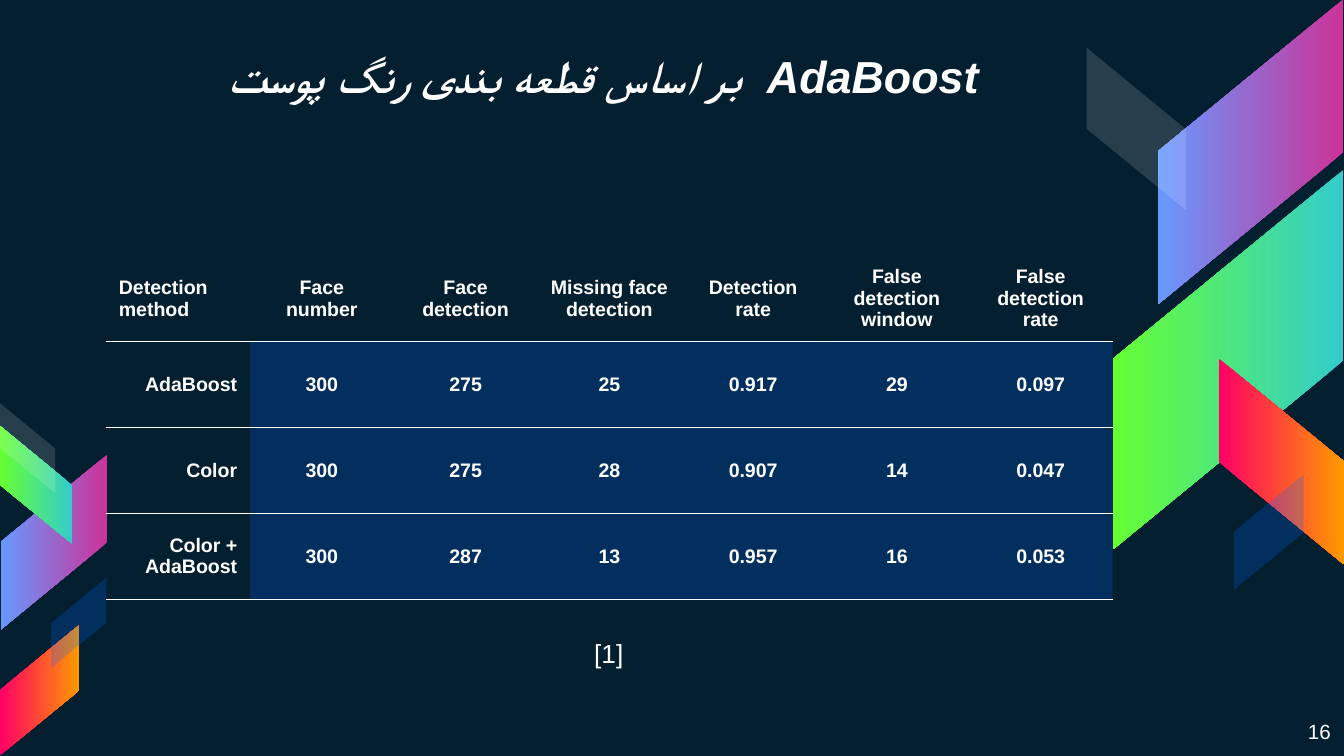
import pptx
import pptx.util
import pptx.dml.color
import pptx.enum.shapes
import pptx.enum.text
import pptx.oxml.ns
import lxml.etree

COLORS = {
    "night": "041F30", "white": "FFFFFF", "blue": "0066FF",
    "magenta": "CC3399", "sky": "6699FF", "teal": "33CCCC",
    "lime": "66FF33", "rose": "FF0066", "orange": "FF9900",
}
CELL = 0.1
COLUMNS, ROWS = 100, 56.25
NO_STYLE = "{2D5ABB26-0587-4C30-8999-92F81FD0307C}"
ALIGN = pptx.enum.text.PP_ALIGN
ANCHOR = pptx.enum.text.MSO_ANCHOR
qn = pptx.oxml.ns.qn


def grid(cells):
    return pptx.util.Inches(cells * CELL)


def rgb(name):
    return pptx.dml.color.RGBColor.from_string(COLORS[name])


def set_opacity(element, percent):
    color = next(element.iter(qn("a:srgbClr")))
    lxml.etree.SubElement(color, qn("a:alpha")).set("val", str(percent * 1000))


def write_text(frame, *spans, size, bold=False, italic=False, align=ALIGN.LEFT,
               fonts=("Arial",)):
    frame.word_wrap = True
    para = frame.paragraphs[0]
    para.alignment = align
    for text, font in zip(spans, fonts):
        span = para.add_run()
        span.text = text
        span.font.size = pptx.util.Pt(size)
        span.font.bold = bold
        span.font.italic = italic
        span.font.color.rgb = rgb("white")
        span.font.name = font
        script = lxml.etree.SubElement(span.font._element, qn("a:cs"))
        script.set("typeface", "Arial")
    return para


class SlideBuilder:
    def __init__(self, deck):
        self.page = deck.slides.add_slide(deck.slide_layouts[5])
        self.page.background.fill.solid()
        self.page.background.fill.fore_color.rgb = rgb("night")

    def ribbon(self, area, turn, flip, colors, opacity=None):
        kind = pptx.enum.shapes.MSO_SHAPE.PARALLELOGRAM
        shape = self.page.shapes.add_shape(kind, *map(grid, area))
        shape.shadow.inherit = False
        shape.adjustments[0] = 0.82
        shape.rotation = turn
        if flip:
            shape._element.spPr.xfrm.set("flipH", "1")
        shape.line.fill.background()
        if len(colors) == 2:
            shape.fill.gradient()
            shape.fill.gradient_angle = 270
            for stop, color in zip(shape.fill.gradient_stops, colors):
                stop.color.rgb = rgb(color)
        else:
            shape.fill.solid()
            shape.fill.fore_color.rgb = rgb(colors[0])
            set_opacity(shape._element.spPr, opacity)

    def title(self, area, *spans, **style):
        box = self.page.shapes.title
        box.left, box.top, box.width, box.height = map(grid, area)
        frame = box.text_frame
        frame.auto_size = pptx.enum.text.MSO_AUTO_SIZE.NONE
        frame.vertical_anchor = ANCHOR.TOP
        frame.margin_left = frame.margin_right = grid(1)
        frame.margin_top = frame.margin_bottom = grid(1)
        para = write_text(frame, *spans, **style)
        para.space_before = pptx.util.Pt(6)
        properties = para._p.get_or_add_pPr()
        properties.set("rtl", "1")
        properties.set("marL", str(grid(0.8)))
        properties.set("indent", "0")

    def label(self, area, text, anchor=ANCHOR.TOP, margin=0.5, **style):
        box = self.page.shapes.add_textbox(*map(grid, area))
        frame = box.text_frame
        frame.vertical_anchor = anchor
        frame.margin_top = frame.margin_bottom = grid(margin)
        write_text(frame, text, **style)

    def rule(self, cell, side, position):
        line = lxml.etree.Element(qn("a:" + side))
        line.set("w", str(pptx.util.Pt(0.75)))
        fill = lxml.etree.SubElement(line, qn("a:solidFill"))
        lxml.etree.SubElement(fill, qn("a:srgbClr")).set("val", COLORS["white"])
        cell._tc.get_or_add_tcPr().insert(position, line)

    def table(self, area, records):
        shape = self.page.shapes.add_table(
            len(records), len(records[0]), *map(grid, area))
        table = shape.table
        table._tbl.tblPr.find(qn("a:tableStyleId")).text = NO_STYLE
        for row, record in enumerate(records):
            for column, text in enumerate(record):
                cell = table.cell(row, column)
                cell.vertical_anchor = ANCHOR.MIDDLE
                cell.margin_left = cell.margin_right = grid(0.95)
                cell.margin_top = cell.margin_bottom = grid(0.7)
                align = ALIGN.CENTER
                if column == 0:
                    align = ALIGN.RIGHT if row else ALIGN.LEFT
                write_text(cell.text_frame, text, size=10.5, bold=True, align=align)
                if row and column:
                    cell.fill.solid()
                    cell.fill.fore_color.rgb = rgb("blue")
                    set_opacity(cell._tc.tcPr, 23)
                else:
                    cell.fill.background()
                if row:
                    self.rule(cell, "lnT", 0)
                self.rule(cell, "lnB", 1 if row else 0)


def main():
    deck = pptx.Presentation()
    deck.slide_width, deck.slide_height = grid(COLUMNS), grid(ROWS)
    slide = SlideBuilder(deck)

    violet, green = ("magenta", "sky"), ("teal", "lime")
    fire = ("rose", "orange")
    ribbons = [
        ((81.7, 4.4, 22.7, 13.8), 90, True, violet),
        ((77.3, 18.2, 28.2, 17.1), 90, True, green),
        ((87.7, 29.7, 15.3, 9.3), 270, False, fire),
        ((78.5, 5.9, 12.1, 7.4), 270, False, ("white",), 14),
        ((90.1, 37, 8.6, 5.2), 270, True, ("blue",), 23),
        ((-2.5, 36.4, 13, 7.9), 90, True, violet),
        ((-1.7, 33.4, 8.8, 5.4), 90, False, green),
        ((-1.9, 48.4, 9.7, 5.9), 270, True, fire),
        ((-1.3, 31.3, 6.7, 4.1), 270, False, ("white",), 14),
        ((2.5, 44.3, 6.7, 4.1), 270, True, ("blue",), 23),
    ]
    for ribbon in ribbons:
        slide.ribbon(*ribbon)

    slide.table((7.9, 19, 74.9, 25.6), [
        ("Detection method", "Face number", "Face detection",
         "Missing face detection", "Detection rate",
         "False detection window", "False detection rate"),
        ("AdaBoost", "300", "275", "25", "0.917", "29", "0.097"),
        ("Color", "300", "275", "28", "0.907", "14", "0.047"),
        ("Color + AdaBoost", "300", "287", "13", "0.957", "16", "0.053"),
    ])
    slide.label((93.6, 52.6, 6.4, 3.6), "16", margin=1, size=11, align=ALIGN.RIGHT)
    slide.label((37, 44.9, 16.6, 7.4), "[1]", anchor=ANCHOR.MIDDLE,
                size=14, align=ALIGN.CENTER)
    slide.title((13.6, 2.6, 63.4, 7), "AdaBoost ", " بر اساس قطعه بندی رنگ پوست",
                size=24, bold=True, italic=True, align=ALIGN.CENTER,
                fonts=("Arial", "Times New Roman"))
    deck.save("out.pptx")


if __name__ == "__main__":
    main()
